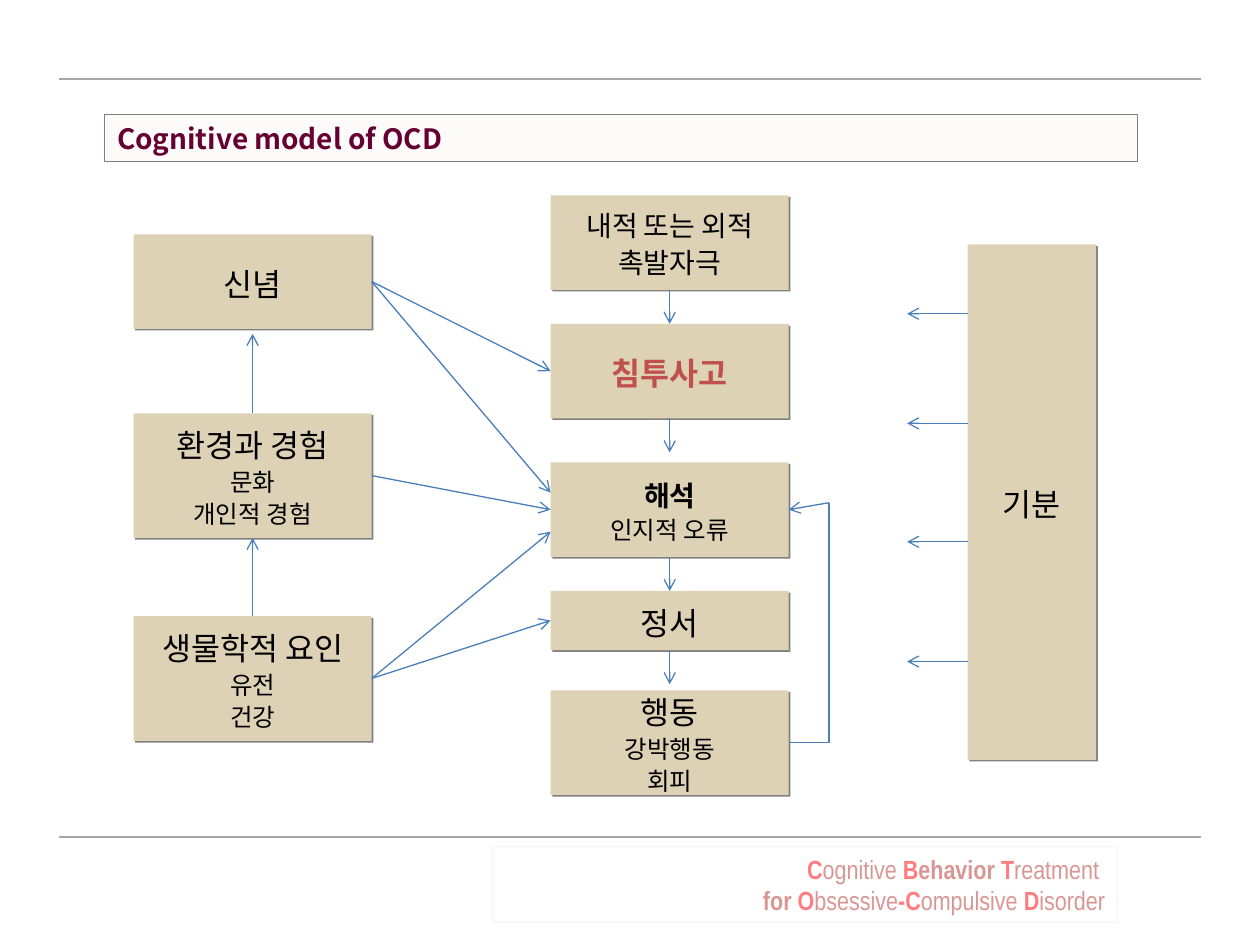
from dataclasses import dataclass
from itertools import pairwise

from lxml import etree
from pptx import Presentation
from pptx.dml.color import RGBColor
from pptx.enum.shapes import MSO_CONNECTOR, MSO_SHAPE
from pptx.enum.text import MSO_ANCHOR, MSO_AUTO_SIZE, PP_ALIGN
from pptx.oxml.ns import qn
from pptx.util import Inches, Pt

STRAIGHT, ELBOW = MSO_CONNECTOR.STRAIGHT, MSO_CONNECTOR.ELBOW
RECTANGLE = MSO_SHAPE.RECTANGLE
LEFT, CENTER, RIGHT = PP_ALIGN.LEFT, PP_ALIGN.CENTER, PP_ALIGN.RIGHT
TOP, MIDDLE = MSO_ANCHOR.TOP, MSO_ANCHOR.MIDDLE
NO_AUTOFIT = MSO_AUTO_SIZE.NONE
TITLE_ONLY = 5
SITE_TOP, SITE_LEFT, SITE_BOTTOM, SITE_RIGHT = range(4)

# The slide is a grid of 100 columns by 75 rows
COLUMNS, ROWS = 100, 75
CELL = Inches(0.1)


@dataclass(frozen=True)
class Theme:
    korean: str = "Noto Sans CJK KR"
    narrow: str = "Arial Narrow"
    ink: str = "000000"
    title: str = "660033"
    title_fill: str = "FCFBF9"
    title_line: str = "7F7F7F"
    rule: str = "A6A6A6"
    card: str = "DDD2B5"
    shadow: str = "808080"
    arrow: str = "4A7EBB"
    intrusion: str = "C0504D"
    footer: str = "D99694"
    footer_initial: str = "FF7C80"
    large: int = 18
    medium: int = 16
    footer_size: int = 15
    small: int = 14
    thin: float = 0.75
    thick: float = 1.25


THEME = Theme()


@dataclass(frozen=True)
class Box:
    left: float
    top: float
    width: float
    height: float

    def point(self, column, row):
        return self.left + column, self.top + row

    def band(self, row, height):
        return Box(self.left, self.top + row, self.width, height)

    def lengths(self):
        return [round(v * CELL) for v in (self.left, self.top, self.width, self.height)]


def color(value):
    return RGBColor.from_string(value)


def add_effects(properties):
    return etree.SubElement(properties, qn("a:effectLst"))


def style_run(run, size, ink, bold=False, font=THEME.korean):
    run.font.size, run.font.bold, run.font.name = Pt(size), bold, font
    run.font.color.rgb = color(ink)
    etree.SubElement(run._r.get_or_add_rPr(), qn("a:ea"), typeface=font)


def prepare_frame(shape, anchor, vertical_inset):
    frame = shape.text_frame
    frame.word_wrap, frame.auto_size = True, NO_AUTOFIT
    frame.vertical_anchor = anchor
    frame.margin_left = frame.margin_right = Inches(0.1)
    frame.margin_top = frame.margin_bottom = Inches(vertical_inset)
    return frame


def add_connector(slide, start, end, kind=STRAIGHT, arrow=True):
    """Each end is a (column, row) point or a (shape, site) joint."""
    joints = [isinstance(finish[0], (int, float)) for finish in (start, end)]
    points = [finish if free else (0, 0) for finish, free in zip((start, end), joints)]
    connector = slide.shapes.add_connector(
        kind, *(round(value * CELL) for point in points for value in point))
    if not joints[0]:
        connector.begin_connect(*start)
    if not joints[1]:
        connector.end_connect(*end)
    connector.line.color.rgb = color(THEME.arrow)
    connector.line.width = Pt(THEME.thin)
    if arrow:
        etree.SubElement(connector.line._get_or_add_ln(), qn("a:tailEnd"), type="arrow")
    add_effects(connector._element.spPr)
    return connector


def add_card(slide, box, lines):
    card = slide.shapes.add_shape(RECTANGLE, *box.lengths())
    card.fill.solid()
    card.fill.fore_color.rgb = color(THEME.card)
    card.line.fill.background()
    shadow = etree.SubElement(add_effects(card._element.spPr), qn("a:outerShdw"),
                              blurRad="0", dist=str(Pt(1.4)), dir="2700000",
                              algn="ctr", rotWithShape="0")
    etree.SubElement(shadow, qn("a:srgbClr"), val=THEME.shadow)

    frame = prepare_frame(card, MIDDLE, 0.1)
    frame.text = "\n".join(text for text, *_ in lines)
    for paragraph, (_, *style) in zip(frame.paragraphs, lines):
        paragraph.alignment, paragraph.line_spacing = CENTER, 1.1
        style_run(paragraph.runs[0], *style)
    return card


def heading(text):
    return text, THEME.large, THEME.ink


def detail(text):
    return text, THEME.small, THEME.ink


def add_rules(slide, box):
    for row in (box.height, 0):
        rule = add_connector(slide, box.point(0, row), box.point(box.width, row), arrow=False)
        rule.line.color.rgb = color(THEME.rule)
        rule.line.width = Pt(THEME.thick)


def add_title(slide, box):
    title = slide.shapes.title
    title.left, title.top, title.width, title.height = box.lengths()
    title.fill.solid()
    title.fill.fore_color.rgb = color(THEME.title_fill)
    title.line.color.rgb = color(THEME.title_line)
    title.line.width = Pt(THEME.thin)
    frame = prepare_frame(title, MIDDLE, 0.05)
    frame.text = "Cognitive model of OCD"
    frame.paragraphs[0].alignment = LEFT
    style_run(frame.paragraphs[0].runs[0], THEME.medium, THEME.title, True)


def add_footer(slide, box):
    footer = slide.shapes.add_textbox(*box.lengths())
    footer.line.color.rgb = color(THEME.footer)
    footer.line.width = Pt(THEME.thin)
    outline_color = footer.line._get_or_add_ln().find(".//" + qn("a:srgbClr"))
    etree.SubElement(outline_color, qn("a:alpha"), val="10000")
    pale, initial = (THEME.footer, False), (THEME.footer_initial, True)
    strong = (THEME.footer, True)
    lines = [
        [("C", initial), ("ognitive", pale), (" B", initial), ("ehavior", strong),
         (" T", initial), ("reatment ", pale)],
        [("for", strong), (" O", initial), ("bsessive", pale), ("-C", initial),
         ("ompulsive", pale), (" D", initial), ("isorder", pale)],
    ]
    frame = prepare_frame(footer, TOP, 0.05)
    frame.text = "\n" * (len(lines) - 1)
    for paragraph, parts in zip(frame.paragraphs, lines):
        paragraph.alignment = RIGHT
        for text, style in parts:
            run = paragraph.add_run()
            run.text = text
            style_run(run, THEME.footer_size, *style, THEME.narrow)


def add_causes(slide, box):
    belief = add_card(slide, box.band(0, 7.5), [heading("신념")])
    experience = add_card(slide, box.band(14.2, 9.9), [
        heading("환경과 경험"), detail("문화"), detail("개인적 경험")])
    biology = add_card(slide, box.band(30.3, 9.9), [
        heading("생물학적 요인"), detail("유전"), detail("건강")])
    add_connector(slide, (biology, SITE_TOP), (experience, SITE_BOTTOM))
    add_connector(slide, (experience, SITE_TOP), box.point(box.width / 2, 7.9))
    return belief, experience, biology


def add_process(slide, box):
    stages = [
        (0, 7.5, [("내적 또는 외적 촉발자극", THEME.medium, THEME.ink)]),
        (10.2, 7.5, [("침투사고", THEME.large, THEME.intrusion, True)]),
        (21.2, 7.5, [("해석", THEME.medium, THEME.ink, True), detail("인지적 오류")]),
        (31.4, 4.7, [heading("정서")]),
        (39.3, 8.3, [heading("행동"), detail("강박행동"), detail("회피")]),
    ]
    cards = [add_card(slide, box.band(row, height), lines) for row, height, lines in stages]

    # Downward arrows of equal length; those that span the gap are joined
    length = 2.7
    for (upper, lower), ((row, height, _), (next_row, *_)) in zip(pairwise(cards), pairwise(stages)):
        bottom = row + height
        touches = next_row - bottom < length + 0.1
        end = (lower, SITE_TOP) if touches else box.point(box.width / 2, bottom + length)
        add_connector(slide, (upper, SITE_BOTTOM), end)

    # Feedback from behaviour to interpretation
    corner = box.point(box.width + 3.2, 24.4)
    elbow = add_connector(slide, (cards[-1], SITE_RIGHT), corner, ELBOW, arrow=False)
    elbow._element.spPr.find(qn("a:prstGeom")).set("prst", "bentConnector2")
    add_connector(slide, corner, (cards[2], SITE_RIGHT))
    return cards


def add_influences(slide, box, causes, process):
    belief, experience, biology = causes
    _, intrusion, interpretation, emotion, _ = process
    for cause, end in [
        (belief, (intrusion, SITE_LEFT)),
        (belief, box.point(0, 23.6)),
        (experience, (interpretation, SITE_LEFT)),
        (biology, box.point(0, 26.7)),
        (biology, (emotion, SITE_LEFT)),
    ]:
        add_connector(slide, (cause, SITE_RIGHT), end)


def add_mood(slide, box):
    add_card(slide, box, [heading("기분")])
    for row in (5.5, 14.2, 23.6, 33.1):
        add_connector(slide, box.point(0, row), box.point(-4.8, row))


def main():
    presentation = Presentation()
    presentation.slide_width, presentation.slide_height = COLUMNS * CELL, ROWS * CELL
    slide = presentation.slides.add_slide(presentation.slide_layouts[TITLE_ONLY])
    process_box = Box(43.7, 15.5, 18.9, 47.6)
    add_rules(slide, Box(4.7, 6.3, 90.6, 60.1))
    add_footer(slide, Box(39.1, 67.2, 49.6, 6))
    add_title(slide, Box(8.3, 9.1, 82, 3.7))
    causes = add_causes(slide, Box(10.6, 18.6, 18.9, 40.2))
    process = add_process(slide, process_box)
    add_influences(slide, process_box, causes, process)
    add_mood(slide, Box(76.8, 19.4, 10.2, 40.9))
    presentation.save("out.pptx")


if __name__ == "__main__":
    main()
